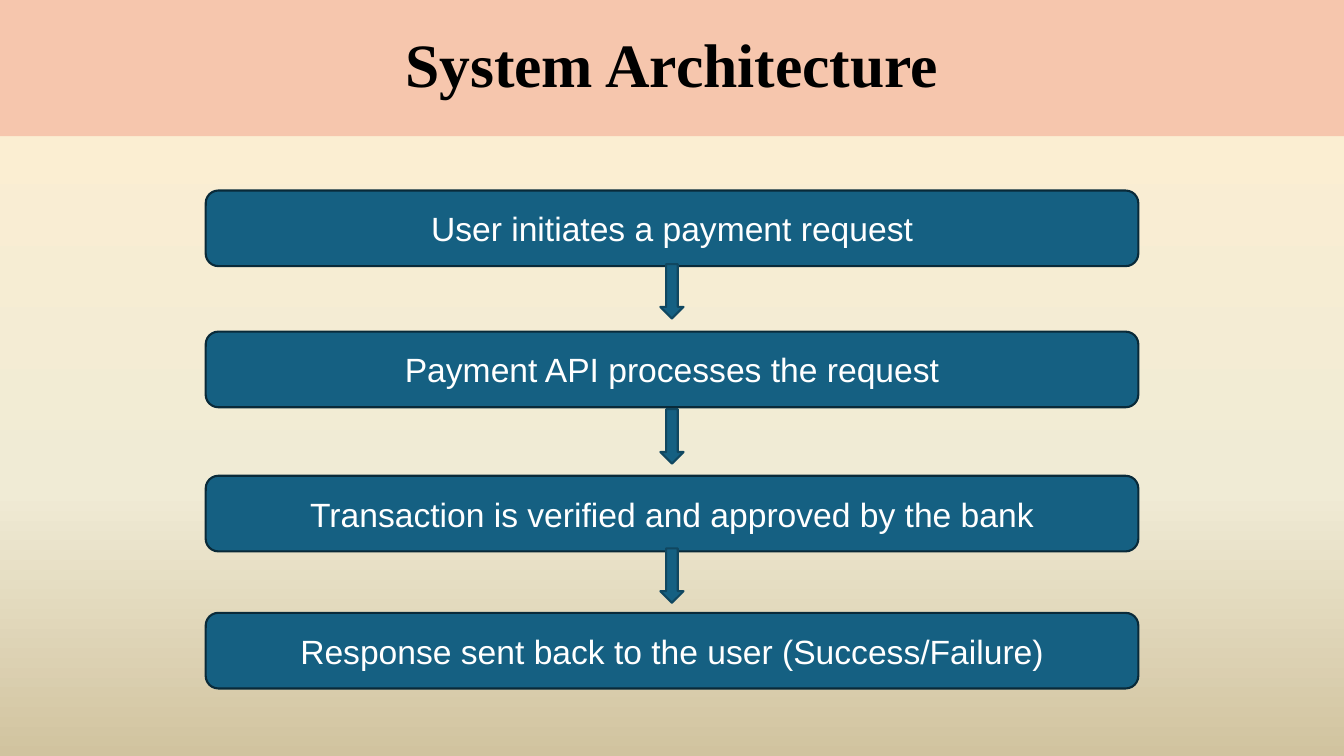
from copy import deepcopy
from dataclasses import dataclass

from pptx import Presentation
from pptx.dml.color import RGBColor
from pptx.enum.shapes import MSO_SHAPE
from pptx.enum.text import MSO_ANCHOR, PP_ALIGN
from pptx.oxml.ns import qn
from pptx.util import Inches, Pt

ROUNDED = MSO_SHAPE.ROUNDED_RECTANGLE
DOWN_ARROW = MSO_SHAPE.DOWN_ARROW
MIDDLE = MSO_ANCHOR.MIDDLE
CENTER = PP_ALIGN.CENTER
TITLE_ONLY = 5
WIDTH, HEIGHT = 13.33, 7.5


@dataclass(frozen=True)
class Theme:
    background: tuple = ((0, "FFEFD1"), (0.65, "F0EBD5"), (1, "D1C39F"))
    banner: str = "F6C6AD"
    step: str = "156082"
    step_line: str = "092A39"
    arrow_line: str = "104760"
    line_width: float = 1.5
    title_font: tuple = ("Times New Roman", 44, "000000", True)
    step_font: tuple = ("Arial", 24, "FFFFFF", False)


THEME = Theme()

# Top of each step and its text
STEPS = (
    (1.89, "User initiates a payment request"),
    (3.29, "Payment API processes the request"),
    (4.72, "Transaction is verified and approved by the bank"),
    (6.08, "Response sent back to the user (Success/Failure)"),
)
STEP_WIDTH, STEP_HEIGHT = 9.25, 0.75
ARROW_TOPS = (2.62, 4.06, 5.44)
ARROW_WIDTH, ARROW_HEIGHT = 0.23, 0.54


def set_text(shape, text, font_style, line_spacing=1.0):
    frame = shape.text_frame
    frame.word_wrap = True
    frame.vertical_anchor = MIDDLE
    paragraph = frame.paragraphs[0]
    paragraph.alignment = CENTER
    paragraph.line_spacing = line_spacing
    run = paragraph.add_run()
    run.text = text
    name, size, color, bold = font_style
    for attribute, value in {"name": name, "size": Pt(size), "bold": bold}.items():
        setattr(run.font, attribute, value)
    run.font.color.rgb = RGBColor.from_string(color)


def set_fill(shape, color):
    shape.fill.solid()
    shape.fill.fore_color.rgb = RGBColor.from_string(color)


def add_block(slide, kind, box, line_color):
    shape = slide.shapes.add_shape(kind, *map(Inches, box))
    shape.shadow.inherit = False
    set_fill(shape, THEME.step)
    shape.line.color.rgb = RGBColor.from_string(line_color)
    shape.line.width = Pt(THEME.line_width)
    return shape


def paint_background(slide):
    fill = slide.background.fill
    fill.gradient()
    fill.gradient_angle = 270
    # The default gradient has two stops; add the middle one
    stop_list = slide.element.find(".//" + qn("a:gsLst"))
    stop_list.insert(1, deepcopy(stop_list[0]))
    for stop, (position, color) in zip(fill.gradient_stops, THEME.background):
        stop.position = position
        stop.color.rgb = RGBColor.from_string(color)


def add_banner(slide, box, text):
    title = slide.shapes.title
    for attribute, value in zip(("left", "top", "width", "height"), box):
        setattr(title, attribute, Inches(value))
    set_fill(title, THEME.banner)
    set_text(title, text, THEME.title_font, 0.9)


def add_flow(slide, left, width):
    # Steps
    for top, text in STEPS:
        box = (left, top, width, STEP_HEIGHT)
        step = add_block(slide, ROUNDED, box, THEME.step_line)
        set_text(step, text, THEME.step_font)
    # Arrows between the steps, centred on them
    arrow_left = left + (width - ARROW_WIDTH) / 2
    for top in ARROW_TOPS:
        box = (arrow_left, top, ARROW_WIDTH, ARROW_HEIGHT)
        add_block(slide, DOWN_ARROW, box, THEME.arrow_line)


def main():
    presentation = Presentation()
    presentation.slide_width = Inches(WIDTH)
    presentation.slide_height = Inches(HEIGHT)
    slide = presentation.slides.add_slide(presentation.slide_layouts[TITLE_ONLY])
    paint_background(slide)
    add_banner(slide, (0, 0, WIDTH, HEIGHT * 0.18), "System Architecture")
    add_flow(slide, (WIDTH - STEP_WIDTH) / 2, STEP_WIDTH)
    presentation.save("out.pptx")


if __name__ == "__main__":
    main()
